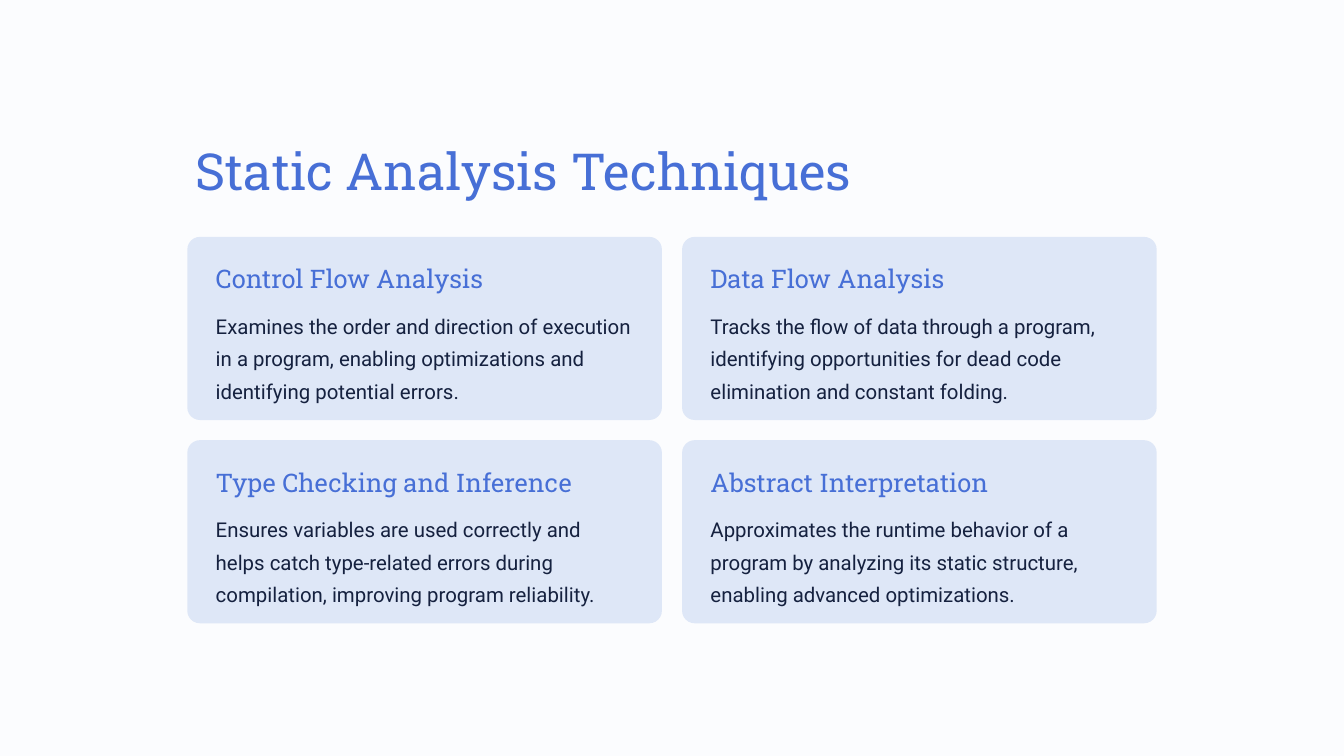
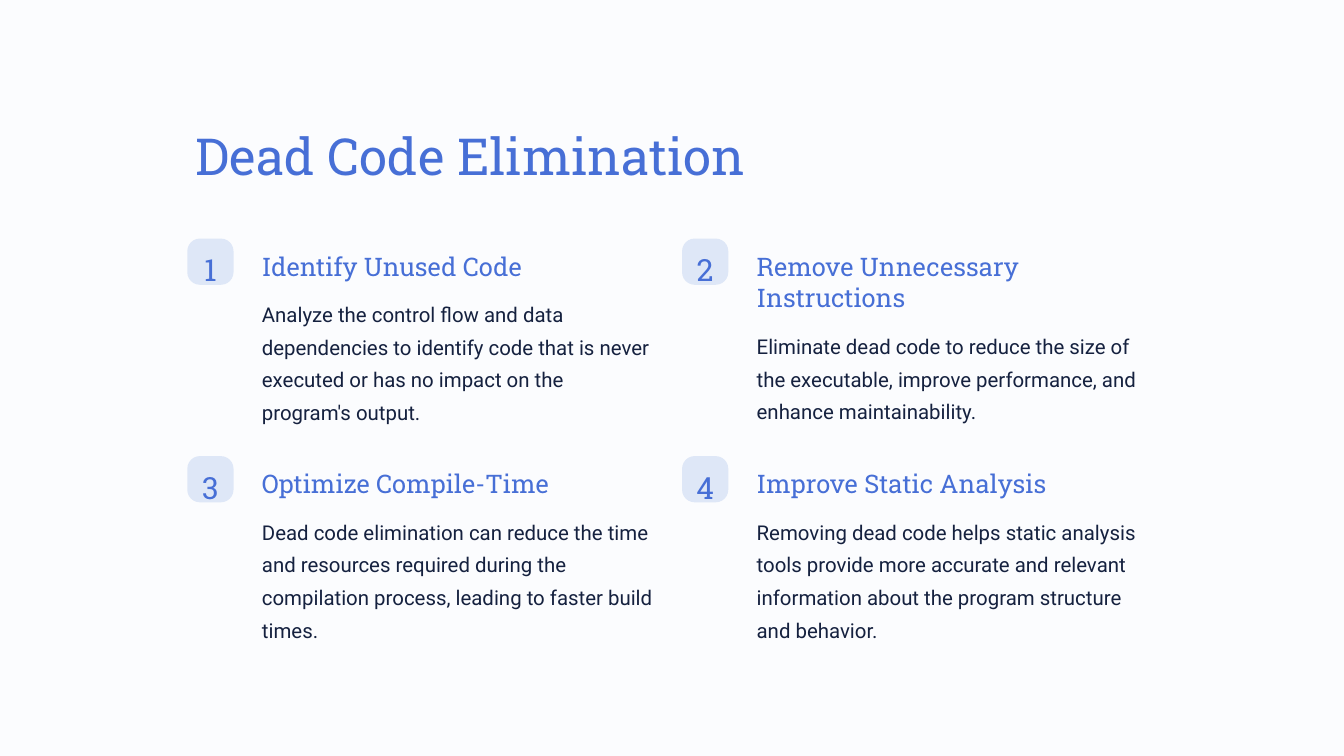
from pptx import Presentation
from pptx.dml.color import RGBColor
from pptx.enum.shapes import MSO_SHAPE
from pptx.enum.text import MSO_ANCHOR, MSO_AUTO_SIZE, PP_ALIGN
from pptx.util import Inches, Pt

BACKGROUND, PANEL, ACCENT, INK = "FBFCFE", "DEE7F7", "476FD6", "15213F"

# font, size, line spacing, colour
TITLE = ("Roboto Slab", 43.7, 54.7, ACCENT)
NUMBER = ("Roboto Slab", 26.2, 32.8, ACCENT)
HEADING = ("Roboto Slab", 21.9, 27.3, ACCENT)
BODY = ("Roboto", 17.5, 28, INK)

LEFT, WIDTH = 2.23, 11.54
GAP = 0.24
COLUMN_WIDTH = (WIDTH - GAP) / 2
HEADING_LINE = 0.38
CORNER = 0.15

TECHNIQUES = [
    ("Control Flow Analysis",
     "Examines the order and direction of execution in a program, enabling "
     "optimizations and identifying potential errors."),
    ("Data Flow Analysis",
     "Tracks the flow of data through a program, identifying opportunities "
     "for dead code elimination and constant folding."),
    ("Type Checking and Inference",
     "Ensures variables are used correctly and helps catch type-related "
     "errors during compilation, improving program reliability."),
    ("Abstract Interpretation",
     "Approximates the runtime behavior of a program by analyzing its static "
     "structure, enabling advanced optimizations."),
]

# heading, lines it takes, body
STEPS = [
    ("Identify Unused Code", 1,
     "Analyze the control flow and data dependencies to identify code that "
     "is never executed or has no impact on the program's output."),
    ("Remove Unnecessary Instructions", 2,
     "Eliminate dead code to reduce the size of the executable, improve "
     "performance, and enhance maintainability."),
    ("Optimize Compile-Time", 1,
     "Dead code elimination can reduce the time and resources required during "
     "the compilation process, leading to faster build times."),
    ("Improve Static Analysis", 1,
     "Removing dead code helps static analysis tools provide more accurate "
     "and relevant information about the program structure and behavior."),
]


def color(value):
    return RGBColor.from_string(value)


def write(shape, text, style, align=PP_ALIGN.LEFT):
    font, size, spacing, ink = style
    frame = shape.text_frame
    frame.text = text
    frame.word_wrap = True
    frame.auto_size = MSO_AUTO_SIZE.NONE
    frame.vertical_anchor = MSO_ANCHOR.TOP
    para = frame.paragraphs[0]
    para.alignment = align
    para.line_spacing = Pt(spacing)
    span = para.runs[0]
    span.font.name = font
    span.font.size = Pt(size)
    span.font.color.rgb = color(ink)


def add_text(page, left, top, width, height, text, style):
    box = page.shapes.add_textbox(*map(Inches, (left, top, width, height)))
    write(box, text, style)


def add_panel(page, left, top, width, height):
    panel = page.shapes.add_shape(
        MSO_SHAPE.ROUNDED_RECTANGLE, *map(Inches, (left, top, width, height)))
    panel.adjustments[0] = CORNER / min(width, height)
    panel.shadow.inherit = False
    panel.fill.solid()
    panel.fill.fore_color.rgb = color(PANEL)
    panel.line.fill.background()
    return panel


def add_page(deck, title, top):
    page = deck.slides.add_slide(deck.slide_layouts[5])
    box = page.shapes.title
    box.left, box.top = Inches(LEFT), Inches(top)
    box.width, box.height = Inches(WIDTH), Inches(0.76)
    write(box, title, TITLE)
    return page


def grid(items, top, pitch):
    """Yield left, top and item for two columns, row by row."""
    for index, item in enumerate(items):
        row, column = divmod(index, 2)
        yield LEFT + column * (COLUMN_WIDTH + GAP), top + row * pitch, item


def add_card(page, left, top, heading, body):
    height, inset = 2.18, 0.24
    width = COLUMN_WIDTH - 2 * inset
    add_panel(page, left, top, COLUMN_WIDTH, height)
    add_text(page, left + inset, top + 0.25, width, HEADING_LINE, heading, HEADING)
    add_text(page, left + inset, top + 0.77, width, 1.17, body, BODY)


def add_step(page, left, top, number, heading, lines, body):
    side, indent = 0.55, 0.79
    width = COLUMN_WIDTH - indent
    badge = add_panel(page, left, top, side, side)
    write(badge, str(number), NUMBER, PP_ALIGN.CENTER)
    frame = badge.text_frame
    frame.margin_left = frame.margin_right = frame.margin_bottom = 0
    frame.margin_top = Inches(0.09)
    heading_height = lines * HEADING_LINE
    body_top = 0.23 + heading_height
    add_text(page, left + indent, top + 0.08, width, heading_height, heading, HEADING)
    add_text(page, left + indent, top + body_top, width, 2.16 - body_top, body, BODY)


def add_techniques(deck):
    page = add_page(deck, "Static Analysis Techniques", 1.58)
    for left, top, technique in grid(TECHNIQUES, 2.82, 2.42):
        add_card(page, left, top, *technique)


def add_elimination(deck):
    page = add_page(deck, "Dead Code Elimination", 1.4)
    for number, (left, top, step) in enumerate(grid(STEPS, 2.84, 2.59), 1):
        add_step(page, left, top, number, *step)


def main():
    deck = Presentation()
    deck.slide_width, deck.slide_height = Inches(16), Inches(9)
    fill = deck.slide_master.background.fill
    fill.solid()
    fill.fore_color.rgb = color(BACKGROUND)
    add_techniques(deck)
    add_elimination(deck)
    deck.save("out.pptx")


if __name__ == "__main__":
    main()
